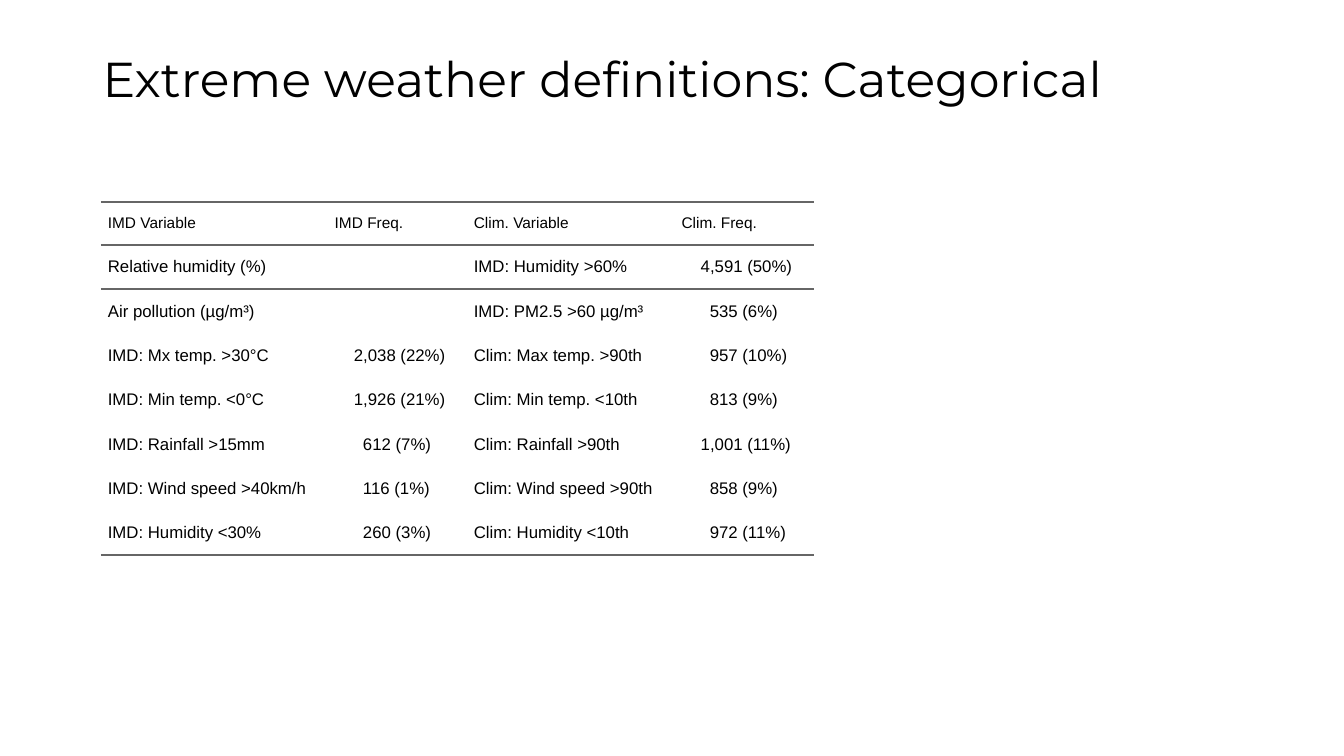
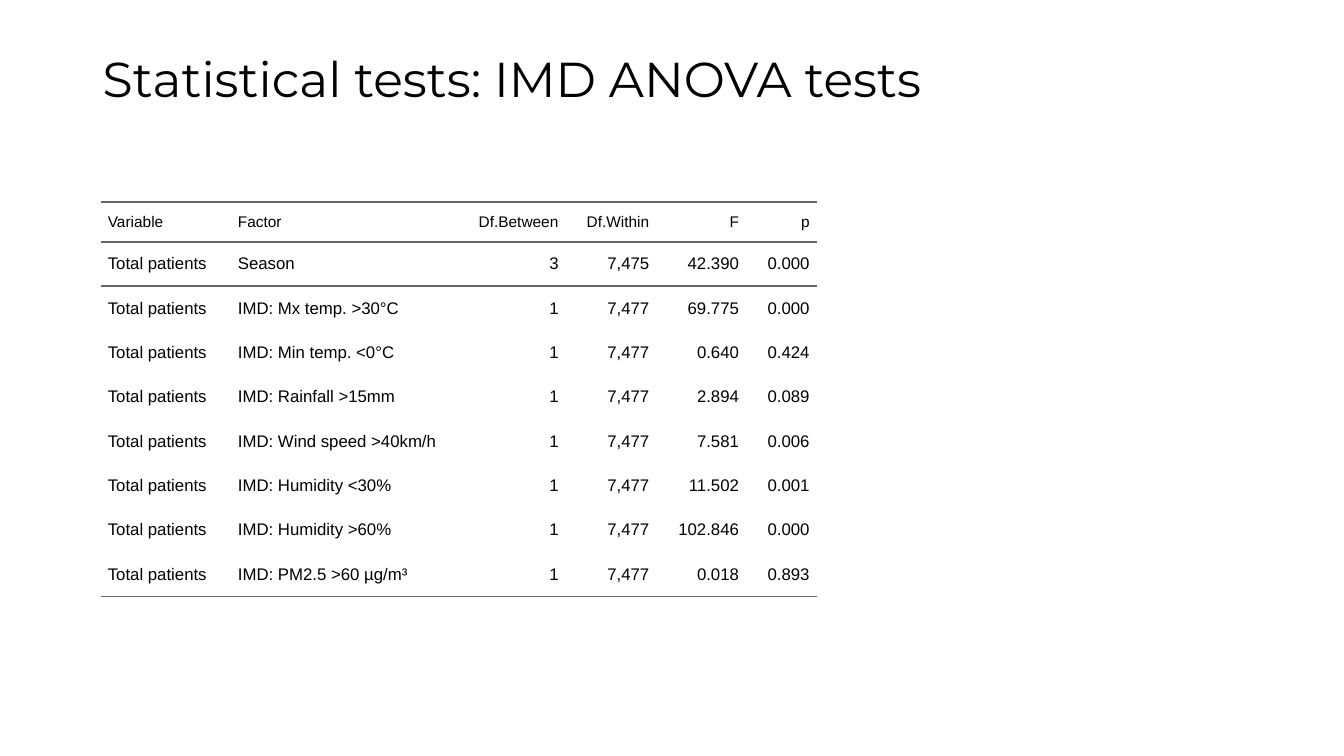
"""Build two slides of weather tables with a shared title style and ruled table style."""
import dataclasses

import lxml.etree
import pptx
import pptx.dml.color
import pptx.enum.text
import pptx.oxml.ns
import pptx.util

Inches = pptx.util.Inches
LEFT = pptx.enum.text.PP_ALIGN.LEFT
RIGHT = pptx.enum.text.PP_ALIGN.RIGHT


@dataclasses.dataclass(frozen=True)
class Theme:
    title_font: str = "Montserrat"
    table_font: str = "Arial"
    text_color: str = "000000"
    rule_color: str = "666666"
    title_size: float = 35
    header_size: float = 11
    body_size: float = 12
    rule_width: float = 1.5
    cell_padding: float = 0.07
    row_height: float = 0.44
    plain_table_style: str = "{2D5ABB26-0587-4C30-8999-92F81FD0307C}"


theme = Theme()


def write_text(frame, text, *, font, size, align=LEFT, line_spacing=None):
    frame.word_wrap = True
    paragraph = frame.paragraphs[0]
    paragraph.alignment = align
    paragraph.line_spacing = line_spacing
    run = paragraph.add_run()
    run.text = text
    run.font.name = font
    run.font.size = pptx.util.Pt(size)
    run.font.color.rgb = pptx.dml.color.RGBColor.from_string(theme.text_color)


def add_rule(cell, side):
    properties = cell._tc.get_or_add_tcPr()
    qn = pptx.oxml.ns.qn
    line = lxml.etree.SubElement(properties, qn(f"a:{side}"), w=str(pptx.util.Pt(theme.rule_width)))
    fill = lxml.etree.SubElement(line, qn("a:solidFill"))
    lxml.etree.SubElement(fill, qn("a:srgbClr"), val=theme.rule_color)


frequency_rows = [
    ("IMD Variable", "IMD Freq.", "Clim. Variable", "Clim. Freq."),
    ("Relative humidity (%)", "", "IMD: Humidity >60%", "4,591 (50%)"),
    ("Air pollution (µg/m³)", "", "IMD: PM2.5 >60 µg/m³", "535 (6%)"),
    ("IMD: Mx temp. >30°C", "2,038 (22%)", "Clim: Max temp. >90th", "957 (10%)"),
    ("IMD: Min temp. <0°C", "1,926 (21%)", "Clim: Min temp. <10th", "813 (9%)"),
    ("IMD: Rainfall >15mm", "612 (7%)", "Clim: Rainfall >90th", "1,001 (11%)"),
    ("IMD: Wind speed >40km/h", "116 (1%)", "Clim: Wind speed >90th", "858 (9%)"),
    ("IMD: Humidity <30%", "260 (3%)", "Clim: Humidity <10th", "972 (11%)"),
]

anova_results = [
    ("Season", "3", "7,475", "42.390", "0.000"),
    ("IMD: Mx temp. >30°C", "1", "7,477", "69.775", "0.000"),
    ("IMD: Min temp. <0°C", "1", "7,477", "0.640", "0.424"),
    ("IMD: Rainfall >15mm", "1", "7,477", "2.894", "0.089"),
    ("IMD: Wind speed >40km/h", "1", "7,477", "7.581", "0.006"),
    ("IMD: Humidity <30%", "1", "7,477", "11.502", "0.001"),
    ("IMD: Humidity >60%", "1", "7,477", "102.846", "0.000"),
    ("IMD: PM2.5 >60 µg/m³", "1", "7,477", "0.018", "0.893"),
]
anova_rows = [("Variable", "Factor", "Df.Between", "Df.Within", "F", "p")]
anova_rows += [("Total patients", *result) for result in anova_results]

slides = [
    dict(
        title="Extreme weather definitions: Categorical",
        rows=frequency_rows,
        widths=[2.25, 1.38, 2.06, 1.38],
        header_height=0.43,
        right_columns=(),
        count_columns=(1, 3),
    ),
    dict(
        title="Statistical tests: IMD ANOVA tests",
        rows=anova_rows,
        widths=[1.29, 2.25, 1.07, 0.9, 0.89, 0.7],
        header_height=0.4,
        right_columns=(2, 3, 4, 5),
        count_columns=(),
    ),
]

presentation = pptx.Presentation()
presentation.slide_width = Inches(13.33)
presentation.slide_height = Inches(7.5)

for content in slides:
    slide = presentation.slides.add_slide(presentation.slide_layouts[6])
    title = slide.shapes.add_textbox(Inches(0.92), Inches(0.4), Inches(11.5), Inches(0.81))
    title.text_frame.vertical_anchor = pptx.enum.text.MSO_ANCHOR.MIDDLE
    write_text(title.text_frame, content["title"], font=theme.title_font,
               size=theme.title_size, line_spacing=0.9)

    rows, widths = content["rows"], content["widths"]
    heights = [content["header_height"]] + [theme.row_height] * (len(rows) - 1)
    table_shape = slide.shapes.add_table(len(rows), len(widths), Inches(1), Inches(2),
                                         Inches(sum(widths)), Inches(sum(heights)))
    table = table_shape.table
    table.first_row = False
    table.horz_banding = False
    table._tbl.tblPr.find(pptx.oxml.ns.qn("a:tableStyleId")).text = theme.plain_table_style
    for column, width in zip(table.columns, widths):
        column.width = Inches(width)
    for row, height in zip(table.rows, heights):
        row.height = Inches(height)

    for row_index, values in enumerate(rows):
        is_header = row_index == 0
        for column_index, value in enumerate(values):
            cell = table.cell(row_index, column_index)
            indent = 0
            if column_index in content["count_columns"] and not is_header:
                indent = 0.19 if "," in value else 0.28
            cell.margin_left = Inches(theme.cell_padding + indent)
            cell.margin_right = Inches(theme.cell_padding)
            cell.margin_top = cell.margin_bottom = 0
            cell.vertical_anchor = pptx.enum.text.MSO_ANCHOR.MIDDLE
            if row_index <= 1:
                add_rule(cell, "lnT")
            if is_header or row_index == len(rows) - 1:
                add_rule(cell, "lnB")
            cell.fill.background()
            if value:
                write_text(cell.text_frame, value, font=theme.table_font,
                           size=theme.header_size if is_header else theme.body_size,
                           align=RIGHT if column_index in content["right_columns"] else LEFT)

presentation.save("out.pptx")
